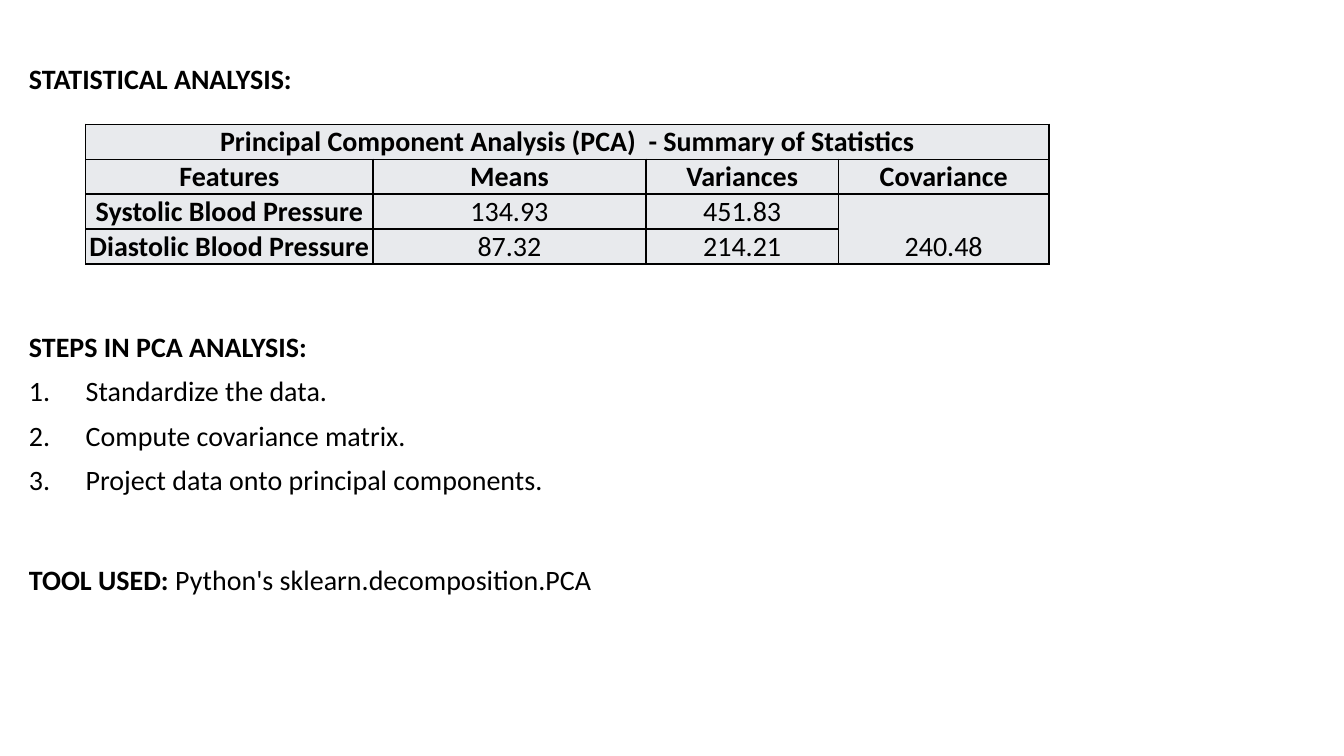
from dataclasses import dataclass

import pptx
import pptx.dml.color
import pptx.enum.text
import pptx.oxml.ns
import pptx.slide
import pptx.table
import pptx.text.text
import pptx.util
from lxml import etree

BLACK = pptx.dml.color.RGBColor(0x00, 0x00, 0x00)
GRAY = pptx.dml.color.RGBColor(0xE8, 0xEA, 0xED)
FONT = "Calibri"
SIZE = pptx.util.Pt(20)


@dataclass(frozen=True)
class Line:
    head: str = ""
    body: str = ""
    gap: float = 10
    step: bool = False


LINES = [
    Line("STATISTICAL ANALYSIS:", gap=0),
    Line("STEPS IN PCA ANALYSIS:", gap=170),
    Line(body="Standardize the data.", step=True),
    Line(body="Compute covariance matrix.", step=True),
    Line(body="Project data onto principal components.", step=True),
    Line("TOOL USED: ", "Python's sklearn.decomposition.PCA", gap=50),
]
ROWS = [
    ["Principal Component Analysis (PCA)  - Summary of Statistics", "", "", ""],
    ["Features", "Means", "Variances", "Covariance"],
    ["Systolic Blood Pressure", "134.93", "451.83", "240.48"],
    ["Diastolic Blood Pressure", "87.32", "214.21", ""],
]
WIDTHS = [7.24, 6.88, 4.85, 5.31]
HEIGHT = 0.88


def style(run: pptx.text.text._Run, bold: bool) -> None:
    run.font.name = FONT
    run.font.size = SIZE
    run.font.bold = bold
    run.font.color.rgb = BLACK


def add_tag(parent: etree._Element, name: str, **attrs: str) -> etree._Element:
    return etree.SubElement(parent, pptx.oxml.ns.qn(name), **attrs)


def add_line(para: pptx.text.text._Paragraph, line: Line) -> None:
    if line.step:
        props = para._p.get_or_add_pPr()
        indent = pptx.util.Cm(1.43)
        props.set("marL", str(indent))
        props.set("indent", str(-indent))
        add_tag(props, "a:buFont", typeface=FONT)
        add_tag(props, "a:buAutoNum", type="arabicPeriod")
    para.line_spacing = 0.9
    para.space_before = pptx.util.Pt(line.gap)
    for text, bold in ((line.head, True), (line.body, False)):
        if text:
            run = para.add_run()
            run.text = text
            style(run, bold)


def add_text(slide: pptx.slide.Slide) -> None:
    box = slide.shapes.add_textbox(
        pptx.util.Cm(0.48), pptx.util.Cm(1.52),
        pptx.util.Cm(32.92), pptx.util.Cm(16.76))
    frame = box.text_frame
    frame.word_wrap = True
    for index, line in enumerate(LINES):
        para = frame.add_paragraph() if index else frame.paragraphs[0]
        add_line(para, line)


def fill_cell(cell: pptx.table._Cell, text: str, bold: bool) -> None:
    cell.margin_left = cell.margin_right = cell.margin_top = pptx.util.Cm(0.02)
    cell.margin_bottom = 0
    cell.vertical_anchor = pptx.enum.text.MSO_ANCHOR.BOTTOM
    props = cell._tc.get_or_add_tcPr()
    for side in ("a:lnL", "a:lnR", "a:lnT", "a:lnB"):
        edge = add_tag(props, side, w=str(pptx.util.Pt(1)))
        add_tag(add_tag(edge, "a:solidFill"), "a:srgbClr", val=str(BLACK))
    cell.fill.solid()
    cell.fill.fore_color.rgb = GRAY
    if text:
        para = cell.text_frame.paragraphs[0]
        para.text = text
        para.alignment = pptx.enum.text.PP_ALIGN.CENTER
        style(para.runs[0], bold)


def add_stats(slide: pptx.slide.Slide) -> None:
    frame = slide.shapes.add_table(
        len(ROWS), len(WIDTHS), pptx.util.Cm(2.16), pptx.util.Cm(3.13),
        pptx.util.Cm(sum(WIDTHS)), pptx.util.Cm(HEIGHT * len(ROWS)))
    table = frame.table
    table.first_row = table.horz_banding = False
    for column, width in zip(table.columns, WIDTHS):
        column.width = pptx.util.Cm(width)
    for r, texts in enumerate(ROWS):
        table.rows[r].height = pptx.util.Cm(HEIGHT)
        for c, text in enumerate(texts):
            fill_cell(table.cell(r, c), text, r < 2 or c == 0)
    table.cell(0, 0).merge(table.cell(0, 3))
    table.cell(2, 3).merge(table.cell(3, 3))


def main() -> None:
    deck = pptx.Presentation()
    deck.slide_width = pptx.util.Cm(33.87)
    deck.slide_height = pptx.util.Cm(19.05)
    slide = deck.slides.add_slide(deck.slide_layouts[6])
    add_text(slide)
    add_stats(slide)
    deck.save("out.pptx")


if __name__ == "__main__":
    main()
